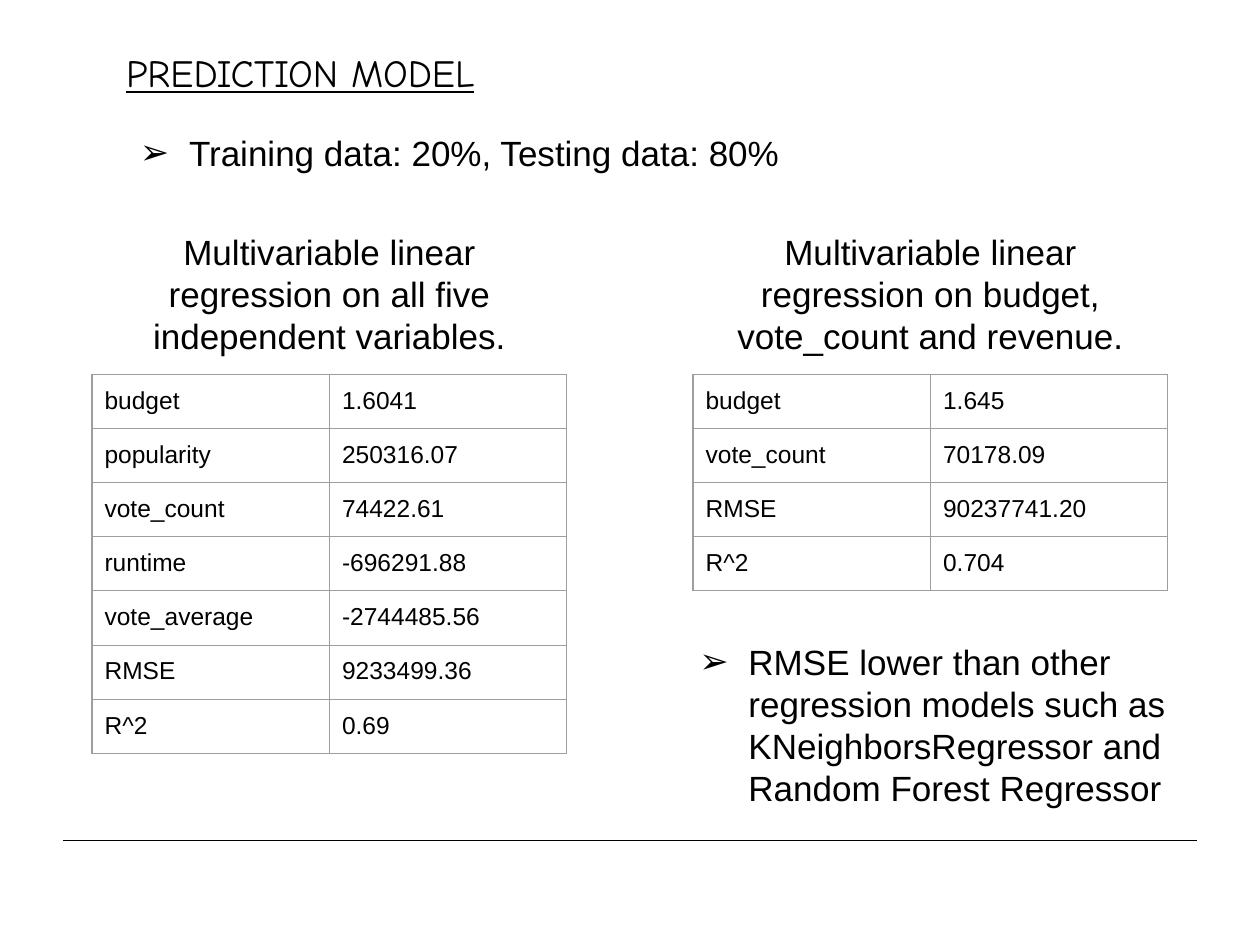
from dataclasses import dataclass

import pptx
import pptx.dml.color
import pptx.enum.shapes
import pptx.enum.text
import pptx.oxml
import pptx.oxml.ns
import pptx.util
from lxml import etree


@dataclass(frozen=True)
class Theme:
    ink: str = "000000"
    border: str = "9E9E9E"
    title_font: str = "Comic Neue"
    body_font: str = "Arial"
    title_size: int = 22
    body_size: int = 20
    table_size: int = 14
    line_width: float = 0.75


THEME = Theme()
SLIDE_SIZE = (10, 7.5)
COLUMNS = (0.73, 5.5)  # left edges of the two model columns
COLUMN_WIDTH = 3.77
CAPTION_TOP, TABLE_TOP, ROW_HEIGHT = 1.73, 2.97, 0.43
INSET = 0.1

MODELS = [
    ("Multivariable linear regression on all five independent variables.",
     [("budget", "1.6041"), ("popularity", "250316.07"),
      ("vote_count", "74422.61"), ("runtime", "-696291.88"),
      ("vote_average", "-2744485.56"), ("RMSE", "9233499.36"), ("R^2", "0.69")]),
    ("Multivariable linear regression on budget, vote_count and revenue.",
     [("budget", "1.645"), ("vote_count", "70178.09"),
      ("RMSE", "90237741.20"), ("R^2", "0.704")]),
]


def inches(*lengths):
    return [pptx.util.Inches(length) for length in lengths]


def rgb(color):
    return pptx.dml.color.RGBColor.from_string(color)


def add_text(paragraph, text, size, font=THEME.body_font, underline=False):
    run = paragraph.add_run()
    run.text = text
    run.font.name = font
    run.font.size = pptx.util.Pt(size)
    run.font.bold = False
    run.font.underline = underline
    run.font.color.rgb = rgb(THEME.ink)


def place(shape, left, top, width, height):
    """Move a placeholder, reset its frame and return its first paragraph."""
    shape.left, shape.top, shape.width, shape.height = inches(left, top, width, height)
    frame = shape.text_frame
    frame.margin_left, frame.margin_top, frame.margin_right, frame.margin_bottom = \
        inches(*[INSET] * 4)
    frame.word_wrap = True
    frame.auto_size = pptx.enum.text.MSO_AUTO_SIZE.NONE
    frame.vertical_anchor = pptx.enum.text.MSO_ANCHOR.TOP
    paragraph = frame.paragraphs[0]
    paragraph.space_before = pptx.util.Pt(0)
    return paragraph


def fill_title(shape, text, box):
    paragraph = place(shape, *box)
    paragraph.alignment = pptx.enum.text.PP_ALIGN.LEFT
    add_text(paragraph, text, THEME.title_size, THEME.title_font, underline=True)


def fill_caption(shape, text, box):
    paragraph = place(shape, *box)
    paragraph.alignment = pptx.enum.text.PP_ALIGN.CENTER
    add_text(paragraph, text, THEME.body_size)


def fill_bullet(shape, text, box):
    paragraph = place(shape, *box)
    properties = paragraph._p.get_or_add_pPr()
    properties.set("marL", str(pptx.util.Inches(0.5)))
    properties.set("indent", str(pptx.util.Inches(-0.39)))
    color = etree.SubElement(properties, pptx.oxml.ns.qn("a:buClr"))
    etree.SubElement(color, pptx.oxml.ns.qn("a:srgbClr"), val=THEME.ink)
    etree.SubElement(properties, pptx.oxml.ns.qn("a:buFont"), typeface=THEME.body_font)
    etree.SubElement(properties, pptx.oxml.ns.qn("a:buChar"), char="➢")
    add_text(paragraph, text, THEME.body_size)


def set_borders(cell):
    properties = cell._tc.get_or_add_tcPr()
    width = pptx.util.Pt(THEME.line_width)
    for position, side in enumerate(("lnL", "lnR", "lnT", "lnB")):
        properties.insert(position, pptx.oxml.parse_xml(
            f'<a:{side} {pptx.oxml.ns.nsdecls("a")} w="{width}"><a:solidFill>'
            f'<a:srgbClr val="{THEME.border}"/></a:solidFill></a:{side}>'))


def add_results_table(slide, left, rows):
    frame = slide.shapes.add_table(
        len(rows), 2, *inches(left, TABLE_TOP, COLUMN_WIDTH, ROW_HEIGHT * len(rows)))
    table = frame.table
    table.first_row = table.horz_banding = False
    for row_index, values in enumerate(rows):
        for column_index, value in enumerate(values):
            cell = table.cell(row_index, column_index)
            cell.margin_left, cell.margin_right, cell.margin_top, cell.margin_bottom = \
                inches(*[INSET] * 4)
            cell.fill.background()
            set_borders(cell)
            add_text(cell.text_frame.paragraphs[0], value, THEME.table_size)


def add_footer_rule(slide):
    rule = slide.shapes.add_connector(
        pptx.enum.shapes.MSO_CONNECTOR.STRAIGHT, *inches(0.5, 6.67, 9.5, 6.67))
    rule.line.color.rgb = rgb(THEME.ink)
    rule.line.width = pptx.util.Pt(THEME.line_width)
    etree.SubElement(rule._element.spPr, pptx.oxml.ns.qn("a:effectLst"))


def main():
    presentation = pptx.Presentation()
    presentation.slide_width, presentation.slide_height = inches(*SLIDE_SIZE)
    # Comparison layout: a title, two captions and two lists
    slide = presentation.slides.add_slide(presentation.slide_layouts[4])
    title, left_caption, top_list, right_caption, bottom_list = slide.placeholders

    # Heading and data split
    add_footer_rule(slide)
    fill_title(title, "PREDICTION MODEL", (0.9, 0.29, 7.47, 0.57))
    fill_bullet(top_list, "Training data: 20%, Testing data: 80%",
                (0.9, 0.94, 8.43, 0.88))

    # One caption and table per model
    for left, caption, (text, rows) in zip(COLUMNS, (left_caption, right_caption), MODELS):
        fill_caption(caption, text, (left, CAPTION_TOP, COLUMN_WIDTH, 1.55))
        add_results_table(slide, left, rows)

    # Conclusion
    fill_bullet(bottom_list, "RMSE lower than other regression models such as "
                "KNeighborsRegressor and Random Forest Regressor",
                (5.34, 4.98, 4.1, 1.89))

    presentation.save("out.pptx")


if __name__ == "__main__":
    main()
